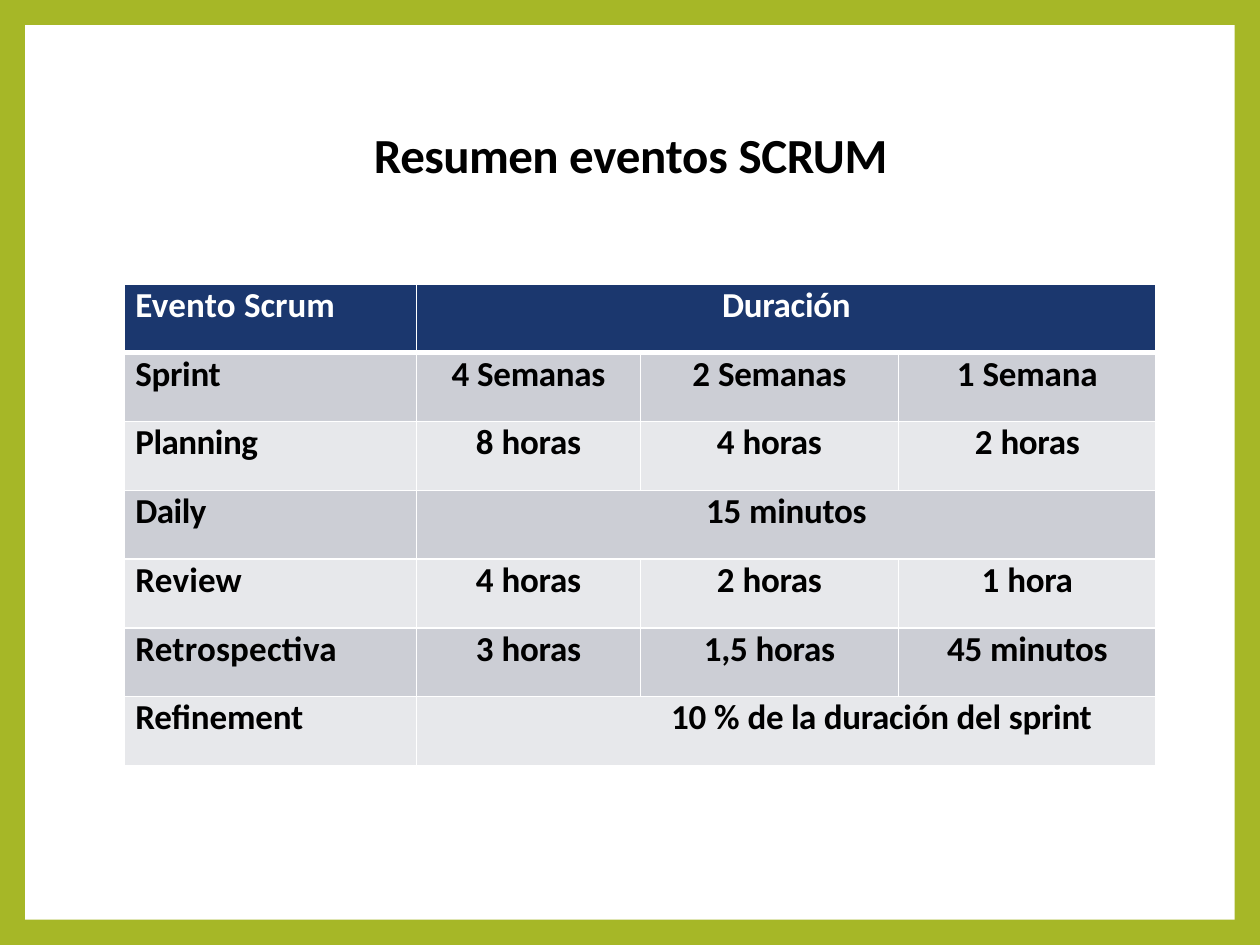
"""Builds a slide with a table that sums up the Scrum events and how long they last."""
from lxml import etree
from pptx import Presentation
from pptx.dml.color import RGBColor
from pptx.enum.shapes import MSO_SHAPE
from pptx.enum.text import MSO_ANCHOR, PP_ALIGN
from pptx.oxml.ns import qn
from pptx.util import Pt

RECT = MSO_SHAPE.RECTANGLE
MIDDLE, TOP = MSO_ANCHOR.MIDDLE, MSO_ANCHOR.TOP
LEFT, CENTER = PP_ALIGN.LEFT, PP_ALIGN.CENTER
COLORS = {"frame": "A6B727", "panel": "FFFFFF", "header": "1B376E", "odd": "CCCED5",
          "even": "E7E8EB", "dark": "000000", "light": "FFFFFF", "border": "FFFFFF"}
COL_WIDTHS = [167.1, 128, 147.4, 147.4]
ROW_HEIGHT = 39.3
ROWS = [
    [[("Evento ", 0.1), ("Scrum", 0)], [("Duración", -0.2)]],
    [[("Sprint", -0.2)], [("4 ", 0), ("Semanas", -0.2)],
     [("2 ", 0), ("Semanas", -0.2)], [("1 ", 0), ("Semana", -0.1)]],
    [[("Planning", -0.3)], [("8 ", 0), ("horas", -0.2)],
     [("4 ", 0), ("horas", -0.2)], [("2 ", 0), ("horas", -0.2)]],
    [[("Daily", -0.3)], [("15 ", -0.1), ("minutos", -0.2)]],
    [[("Review", 0.1)], [("4 ", 0), ("horas", -0.2)],
     [("2 ", 0), ("horas", -0.2)], [("1 ", 0), ("hora", -0.2)]],
    [[("Retrospectiva", 0.1)], [("3 ", 0), ("horas", -0.2)],
     [("1,5 ", -0.1), ("horas", -0.2)], [("45 ", -0.1), ("minutos", -0.2)]],
    [[("Refinement", -0.1)], [("10 ", -0.1), ("% ", 0), ("de la duración ", -0.2),
                              ("del ", -0.1), ("sprint", -0.2)]],
]


def add_runs(p, runs, size, color):
    for text, spacing in runs:
        r = p.add_run()
        r.text = text
        r.font.name = "Calibri"
        r.font.size = Pt(size)
        r.font.bold = True
        r.font.color.rgb = RGBColor.from_string(COLORS[color])
        r._r.get_or_add_rPr().set("spc", str(round(spacing * 100)))


def add_border(cell, side, width):
    ln = etree.SubElement(cell._tc.get_or_add_tcPr(), qn("a:" + side), w=str(Pt(width)))
    fill = etree.SubElement(ln, qn("a:solidFill"))
    etree.SubElement(fill, qn("a:srgbClr"), val=COLORS["border"])


prs = Presentation()
prs.slide_width, prs.slide_height = Pt(720), Pt(540)
s = prs.slides.add_slide(prs.slide_layouts[5])
s.background.fill.solid()
s.background.fill.fore_color.rgb = RGBColor.from_string(COLORS["frame"])

panel = s.shapes.add_shape(RECT, Pt(14.4), Pt(14.4), Pt(691.2), Pt(511.2))
panel.shadow.inherit = False
panel.fill.solid()
panel.fill.fore_color.rgb = RGBColor.from_string(COLORS["panel"])
panel.line.fill.background()
s.shapes._spTree.insert(2, panel._element)

title = s.shapes.title
title.left, title.top, title.width, title.height = Pt(150.5), Pt(71.3), Pt(419.8), Pt(33.8)
tf = title.text_frame
tf.margin_left = tf.margin_top = tf.margin_right = tf.margin_bottom = 0
tf.vertical_anchor = MIDDLE
tf.word_wrap = True
p = tf.paragraphs[0]
p.alignment = CENTER
add_runs(p, [("Resumen ", -0.3), ("eventos ", -0.1), ("SCRUM", -0.2)], 28, "dark")

table = s.shapes.add_table(len(ROWS), len(COL_WIDTHS), Pt(70.9), Pt(162.3),
                           Pt(sum(COL_WIDTHS)), Pt(ROW_HEIGHT * len(ROWS))).table
for col, width in zip(table.columns, COL_WIDTHS):
    col.width = Pt(width)

for i, row in enumerate(ROWS):
    table.rows[i].height = Pt(ROW_HEIGHT)
    band = "header" if i == 0 else "odd" if i % 2 else "even"
    for cell in table.rows[i].cells:
        cell.margin_left = cell.margin_top = cell.margin_right = cell.margin_bottom = 0
        cell.vertical_anchor = TOP
        add_border(cell, "lnL", 1)
        add_border(cell, "lnR", 1)
        add_border(cell, "lnT", 3 if i == 1 else 1)
        add_border(cell, "lnB", 3 if i == 0 else 1)
        cell.fill.solid()
        cell.fill.fore_color.rgb = RGBColor.from_string(COLORS[band])
    if len(row) == 2:
        table.cell(i, 1).merge(table.cell(i, 3))
    for j, runs in enumerate(row):
        p = table.cell(i, j).text_frame.paragraphs[0]
        p.space_before = Pt(5.2 if i == 1 else 6.2)
        indent = 6.5 if j == 0 else 145.5 if i == len(ROWS) - 1 else 0
        p.alignment = LEFT if indent else CENTER
        p._p.get_or_add_pPr().set("marL", str(Pt(indent)))
        add_runs(p, runs, 20, "light" if i == 0 else "dark")

prs.save("out.pptx")
